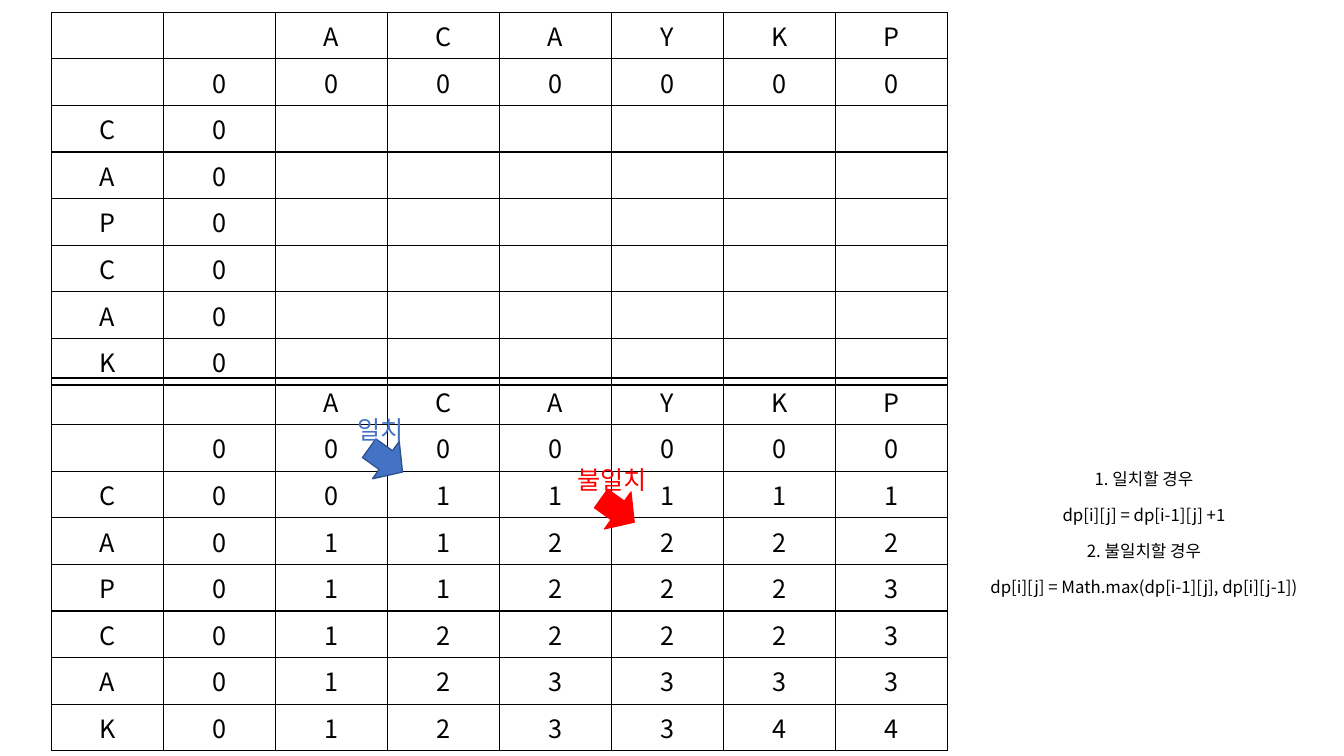
import lxml.etree
import pptx
import pptx.dml.color
import pptx.enum.shapes
import pptx.enum.text
import pptx.oxml.ns
import pptx.util

BLACK = pptx.dml.color.RGBColor(0x00, 0x00, 0x00)
BLUE = pptx.dml.color.RGBColor(0x44, 0x72, 0xC4)
NAVY = pptx.dml.color.RGBColor(0x32, 0x54, 0x91)
RED = pptx.dml.color.RGBColor(0xFF, 0x00, 0x00)
FONT = "Noto Sans CJK KR"
CENTER = pptx.enum.text.PP_ALIGN.CENTER
MIDDLE = pptx.enum.text.MSO_ANCHOR.MIDDLE

WIDTH, HEIGHT = pptx.util.Inches(13.33), pptx.util.Inches(7.5)
COLUMN, ROW = WIDTH / 12, HEIGHT / 18.5
COLUMN_WORD, ROW_WORD = "ACAYKP", "CAPCAK"
EMPTY_SCORES = [""] * len(ROW_WORD)
LCS_SCORES = ["011111", "112222", "112223", "122223", "123333", "123344"]
RULES = [
    "1. 일치할 경우",
    "dp[i][j] = dp[i-1][j] +1",
    "2. 불일치할 경우",
    "dp[i][j] = Math.max(dp[i-1][j], dp[i][j-1])",
]


def add_text(paragraph, text, size, color):
    """Add one centred run to a paragraph."""
    paragraph.alignment = CENTER
    run = paragraph.add_run()
    run.text = text
    run.font.size = pptx.util.Pt(size)
    run.font.name = FONT
    run.font.color.rgb = color
    properties = run.font._element
    east_asian = lxml.etree.SubElement(properties, pptx.oxml.ns.qn("a:ea"))
    east_asian.set("typeface", FONT)


def add_borders(cell):
    """Draw a thin black line on each side of a cell."""
    properties = cell._tc.get_or_add_tcPr()
    for position, side in enumerate(("a:lnL", "a:lnR", "a:lnT", "a:lnB")):
        border = lxml.etree.Element(pptx.oxml.ns.qn(side), w=str(pptx.util.Pt(1)))
        fill = lxml.etree.SubElement(border, pptx.oxml.ns.qn("a:solidFill"))
        lxml.etree.SubElement(fill, pptx.oxml.ns.qn("a:srgbClr"), val=str(BLACK))
        properties.insert(position, border)


def add_score_table(slide, left, top, scores):
    """Place an LCS table with its letters, zero edges and given scores."""
    edge = "0" * (len(COLUMN_WORD) + 1)
    lines = [["", "", *COLUMN_WORD], ["", *edge]]
    lines += [
        [letter, "0", *values.ljust(len(COLUMN_WORD))]
        for letter, values in zip(ROW_WORD, scores)
    ]
    rows, columns = len(lines), len(lines[0])
    table = slide.shapes.add_table(
        rows, columns, int(left), int(top), int(columns * COLUMN), int(rows * ROW)
    ).table
    table.first_row = table.horz_banding = False
    for row, line in enumerate(lines):
        for column, value in enumerate(line):
            cell = table.cell(row, column)
            cell.fill.background()
            add_borders(cell)
            if value.strip():
                add_text(cell.text_frame.paragraphs[0], value, 18, BLACK)


def add_text_box(slide, left, top, width, height):
    """Return the wrapped, vertically centred frame of a new text box."""
    frame = slide.shapes.add_textbox(
        int(left), int(top), int(width), int(height)
    ).text_frame
    frame.word_wrap = True
    frame.vertical_anchor = MIDDLE
    return frame


def add_case_arrow(slide, left, top, label, color, outline, outline_width):
    """Place a slanted arrow with its case name above it."""
    arrow = slide.shapes.add_shape(
        pptx.enum.shapes.MSO_SHAPE.DOWN_ARROW,
        int(left), int(top), int(0.41 * COLUMN), int(ROW),
    )
    arrow.rotation = 305.6
    arrow.shadow.inherit = False
    arrow.fill.solid()
    arrow.fill.fore_color.rgb = color
    arrow.line.color.rgb = outline
    arrow.line.width = pptx.util.Pt(outline_width)
    frame = add_text_box(
        slide, left - 0.47 * COLUMN, top - 0.49 * ROW, 1.25 * COLUMN, 0.47 * ROW
    )
    frame.margin_top = frame.margin_bottom = 0
    add_text(frame.paragraphs[0], label, 18, color)


def add_rules(slide, left, top, width, height):
    """Place the recurrence rules as evenly spaced centred lines."""
    frame = add_text_box(slide, left, top, width, height)
    for index, rule in enumerate(RULES):
        paragraph = frame.add_paragraph() if index else frame.paragraphs[0]
        if index:
            paragraph.space_before = pptx.util.Pt(11.5)
        add_text(paragraph, rule, 12, BLACK)


def build_lcs_slide(presentation):
    """Build the slide of the empty and the filled LCS table."""
    slide = presentation.slides.add_slide(presentation.slide_layouts[6])
    left, filled_top = 0.46 * COLUMN, HEIGHT / 2
    add_score_table(slide, left, 0.3 * ROW, EMPTY_SCORES)
    add_score_table(slide, left, filled_top, LCS_SCORES)
    for column, row, *case in (
        (2.78, 1.51, "일치", BLUE, NAVY, 1),
        (4.85, 2.74, "불일치", RED, RED, 0.75),
    ):
        add_case_arrow(slide, left + column * COLUMN, filled_top + row * ROW, *case)
    add_rules(slide, 8.57 * COLUMN, 8.81 * ROW, 3.29 * COLUMN, 8.46 * ROW)


presentation = pptx.Presentation()
presentation.slide_width, presentation.slide_height = WIDTH, HEIGHT
build_lcs_slide(presentation)
presentation.save("out.pptx")
